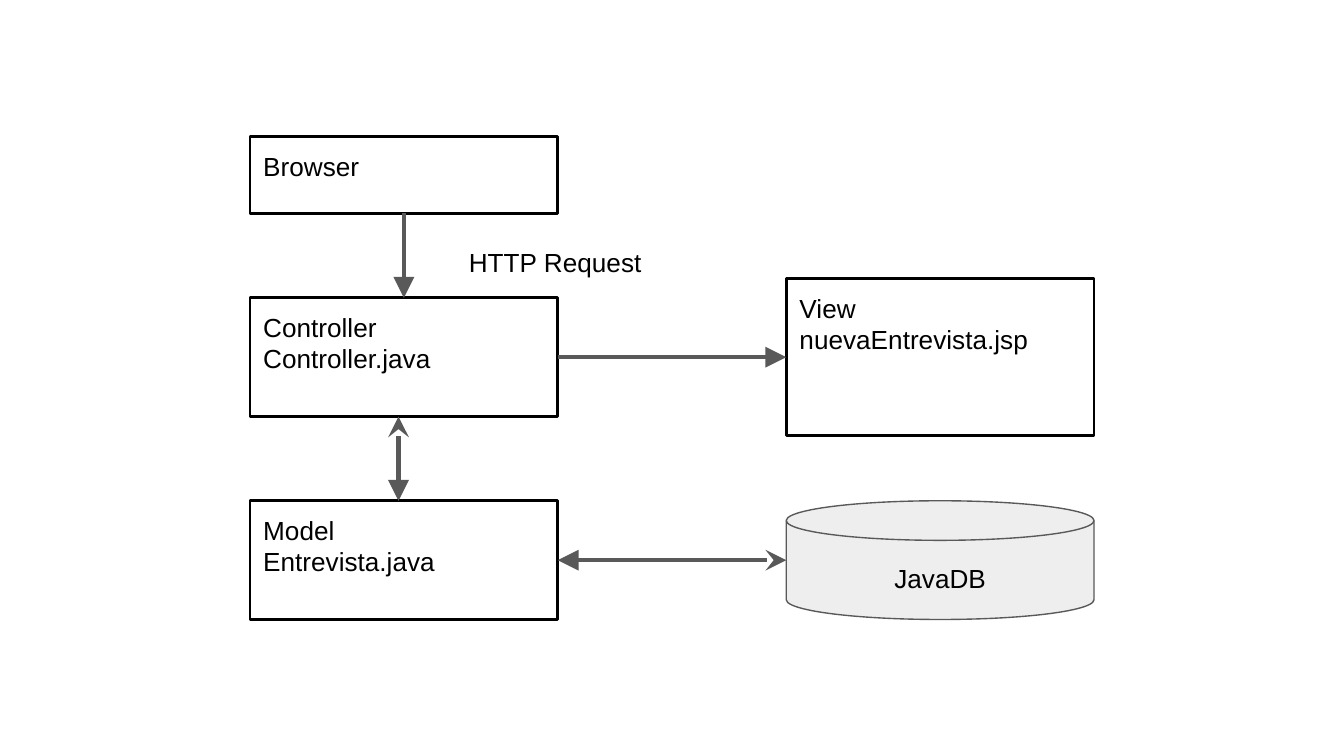
from dataclasses import dataclass

import pptx
import pptx.dml.color
import pptx.enum.shapes
import pptx.enum.text
import pptx.util
from lxml import etree
from pptx.oxml import ns

COLORS = {"ink": "000000", "arrow": "595959", "disk": "EEEEEE"}
SLIDE_WIDTH = pptx.util.Inches(10)
SLIDE_HEIGHT = SLIDE_WIDTH * 9 // 16
SHAPES = pptx.enum.shapes.MSO_SHAPE
ALIGN = pptx.enum.text.PP_ALIGN
TOP, LEFT, BOTTOM, RIGHT = range(4)

# Grid in percent of the slide's width and height
LEFT_COLUMN, RIGHT_COLUMN, COLUMN_WIDTH = 18.6, 58.5, 22.9
BROWSER_ROW, CONTROLLER_ROW, MODEL_ROW = 18.1, 39.4, 66.25
BROWSER_HEIGHT, ROW_HEIGHT, LABEL_HEIGHT = 10.13, 15.7, 6.22


@dataclass(frozen=True)
class Area:
    left: float
    top: float
    width: float
    height: float

    def emu(self) -> tuple[int, int, int, int]:
        return (across(self.left), down(self.top),
                across(self.width), down(self.height))


@dataclass(frozen=True)
class Box:
    name: str
    area: Area
    text: str


@dataclass(frozen=True)
class Label:
    text: str
    area: Area
    alignment: ALIGN


@dataclass(frozen=True)
class Arrow:
    """Ends are grid points; a joint names a box and one of its sides."""
    start: tuple[float, float]
    end: tuple[float, float]
    head: str | None = None
    tail: str | None = None
    start_joint: tuple[str, int] | None = None
    end_joint: tuple[str, int] | None = None


BOXES = [
    Box("browser", Area(LEFT_COLUMN, BROWSER_ROW, COLUMN_WIDTH, BROWSER_HEIGHT),
        "Browser"),
    Box("controller", Area(LEFT_COLUMN, CONTROLLER_ROW, COLUMN_WIDTH, ROW_HEIGHT),
        "Controller\nController.java"),
    Box("model", Area(LEFT_COLUMN, MODEL_ROW, COLUMN_WIDTH, ROW_HEIGHT),
        "Model\vEntrevista.java"),
    Box("view", Area(RIGHT_COLUMN, 36.85, COLUMN_WIDTH, 20.8),
        "View\nnuevaEntrevista.jsp"),
]
DATABASE = Area(RIGHT_COLUMN, MODEL_ROW, COLUMN_WIDTH, ROW_HEIGHT)
DATABASE_LABEL = Label("JavaDB", Area(61.2, 72.6, 17.5, LABEL_HEIGHT), ALIGN.CENTER)
REQUEST_LABEL = Label("HTTP Request", Area(33.9, 30.76, 18.4, LABEL_HEIGHT), ALIGN.LEFT)

LEFT_BOX_EDGE = LEFT_COLUMN + COLUMN_WIDTH
LEFT_BOX_CENTER = LEFT_COLUMN + COLUMN_WIDTH / 2
MODEL_ARROW_COLUMN = 29.65
MODEL_MIDDLE = MODEL_ROW + ROW_HEIGHT / 2
CONTROLLER_MIDDLE = CONTROLLER_ROW + ROW_HEIGHT / 2
ARROWS = [
    Arrow((LEFT_BOX_CENTER, BROWSER_ROW + BROWSER_HEIGHT),
          (LEFT_BOX_CENTER, CONTROLLER_ROW), tail="triangle",
          start_joint=("browser", BOTTOM), end_joint=("controller", TOP)),
    Arrow((MODEL_ARROW_COLUMN, CONTROLLER_ROW + ROW_HEIGHT),
          (MODEL_ARROW_COLUMN, MODEL_ROW), head="stealth", tail="triangle"),
    Arrow((RIGHT_COLUMN, MODEL_MIDDLE), (LEFT_BOX_EDGE, MODEL_MIDDLE),
          head="stealth", tail="triangle", end_joint=("model", RIGHT)),
    Arrow((RIGHT_COLUMN, CONTROLLER_MIDDLE), (LEFT_BOX_EDGE, CONTROLLER_MIDDLE),
          head="triangle", start_joint=("view", LEFT),
          end_joint=("controller", RIGHT)),
]


def across(percent: float) -> int:
    return round(SLIDE_WIDTH * percent / 100)


def down(percent: float) -> int:
    return round(SLIDE_HEIGHT * percent / 100)


def color(name: str) -> pptx.dml.color.RGBColor:
    return pptx.dml.color.RGBColor.from_string(COLORS[name])


def set_line(shape, name: str, points: float) -> None:
    shape.line.color.rgb = color(name)
    shape.line.width = pptx.util.Pt(points)


def write_text(shape, text: str, alignment: ALIGN = ALIGN.LEFT) -> None:
    frame = shape.text_frame
    frame.word_wrap = True
    frame.vertical_anchor = pptx.enum.text.MSO_ANCHOR.TOP
    frame.margin_left = frame.margin_right = pptx.util.Inches(0.1)
    frame.margin_top = frame.margin_bottom = pptx.util.Inches(0.1)
    frame.text = text
    for paragraph in frame.paragraphs:
        paragraph.alignment = alignment
        paragraph.font.name = "Arial"
        paragraph.font.size = pptx.util.Pt(14)
        paragraph.font.color.rgb = color("ink")


def draw_box(slide, box: Box):
    shape = slide.shapes.add_shape(SHAPES.RECTANGLE, *box.area.emu())
    shape.shadow.inherit = False
    shape.fill.background()
    set_line(shape, "ink", 1.5)
    write_text(shape, box.text)
    return shape


def draw_database(slide, area: Area) -> None:
    shape = slide.shapes.add_shape(SHAPES.FLOWCHART_MAGNETIC_DISK, *area.emu())
    shape.shadow.inherit = False
    shape.fill.solid()
    shape.fill.fore_color.rgb = color("disk")
    set_line(shape, "arrow", 0.75)


def draw_label(slide, label: Label) -> None:
    shape = slide.shapes.add_textbox(*label.area.emu())
    write_text(shape, label.text, label.alignment)


def draw_arrow(slide, arrow: Arrow, boxes: dict) -> None:
    connector = slide.shapes.add_connector(
        pptx.enum.shapes.MSO_CONNECTOR.STRAIGHT,
        across(arrow.start[0]), down(arrow.start[1]),
        across(arrow.end[0]), down(arrow.end[1]))
    if arrow.start_joint:
        name, side = arrow.start_joint
        connector.begin_connect(boxes[name], side)
    if arrow.end_joint:
        name, side = arrow.end_joint
        connector.end_connect(boxes[name], side)
    set_line(connector, "arrow", 2.25)
    properties = connector.element.spPr
    line = properties.find(ns.qn("a:ln"))
    for tag, kind in (("a:headEnd", arrow.head), ("a:tailEnd", arrow.tail)):
        if kind:
            etree.SubElement(line, ns.qn(tag), type=kind, w="lg", len="lg")
    etree.SubElement(properties, ns.qn("a:effectLst"))


def main() -> None:
    presentation = pptx.Presentation()
    presentation.slide_width = SLIDE_WIDTH
    presentation.slide_height = SLIDE_HEIGHT
    slide = presentation.slides.add_slide(presentation.slide_layouts[6])
    boxes = {box.name: draw_box(slide, box) for box in BOXES}
    draw_database(slide, DATABASE)
    draw_label(slide, DATABASE_LABEL)
    for arrow in ARROWS:
        draw_arrow(slide, arrow, boxes)
    draw_label(slide, REQUEST_LABEL)
    presentation.save("out.pptx")


if __name__ == "__main__":
    main()
